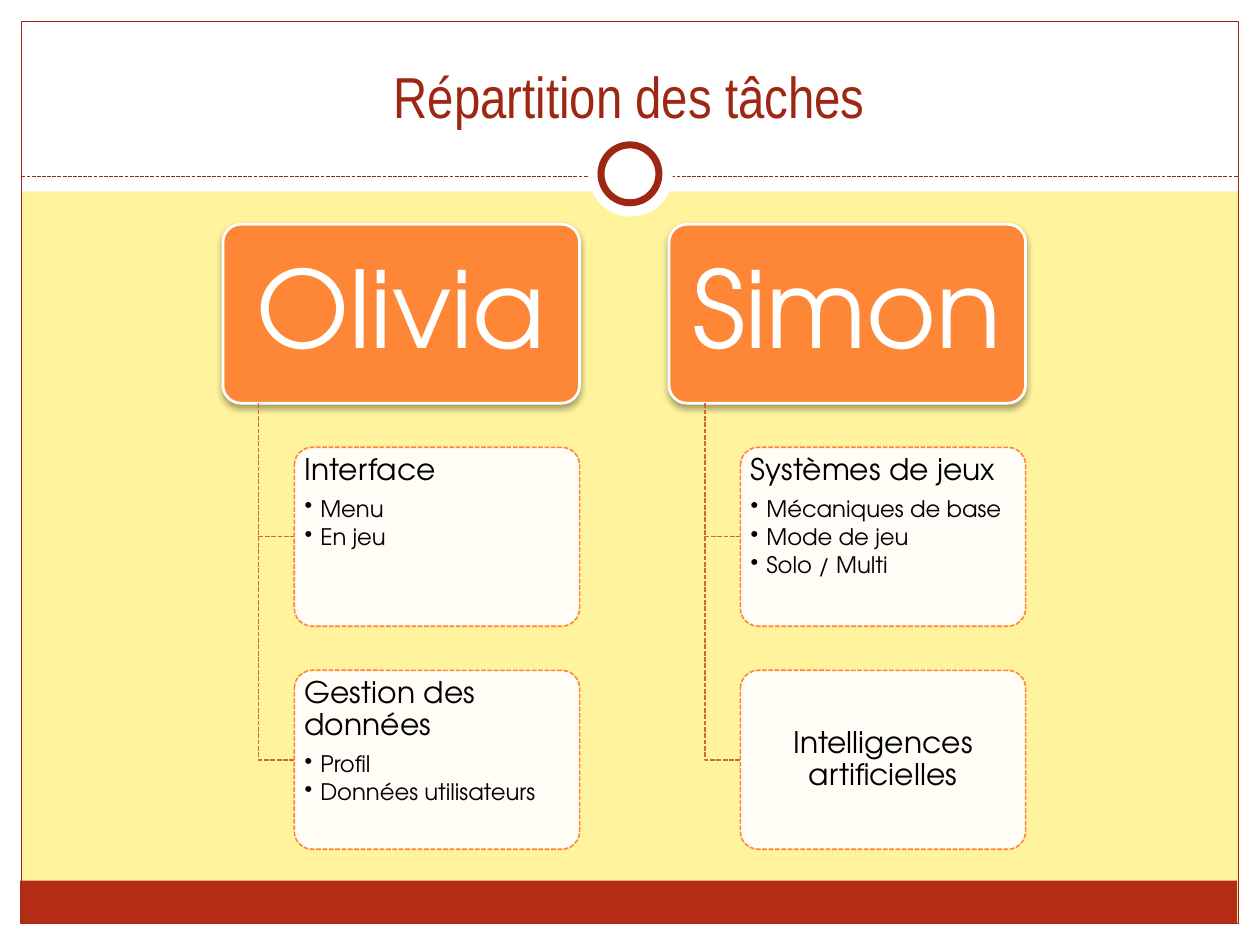
from lxml.etree import SubElement as Sub
from pptx import Presentation as Pres
from pptx.dml.color import RGBColor as Rgb
from pptx.enum.dml import MSO_LINE as Dash
from pptx.enum.shapes import MSO_CONNECTOR as Conn, MSO_SHAPE as Kind
from pptx.enum.text import MSO_ANCHOR as Anchor, PP_ALIGN as Align
from pptx.oxml.ns import qn
from pptx.util import Inches, Pt


def tint(code):
    return Rgb.from_string(code)


def put(item, **vals):
    for name, val in vals.items():
        setattr(item, name, val)


class Deck:
    cell = Inches(0.1)
    white, black, red, rust = "FFFFFF", "000000", "9E2713", "B32C16"
    orange, brown, cream = "FE8637", "CB6B2C", "FFF39D"
    head, body = "Arial Narrow", "TeX Gyre Adventor"

    def __init__(self):
        self.pres = Pres()
        put(self.pres, slide_width=self.grid(100), slide_height=self.grid(75))
        self.slide = self.pres.slides.add_slide(self.pres.slide_layouts[6])
        back = self.slide.background.fill
        back.solid()
        back.fore_color.rgb = tint(self.cream)

    def grid(self, num):
        return round(num * self.cell)

    def area(self, *nums):
        return [self.grid(num) for num in nums]

    def stroke(self, line, color, width, dash=None):
        line.color.rgb = tint(color)
        put(line, width=Pt(width), dash_style=dash)

    def shape(self, kind, spot, fill=None, line=None, alpha=None):
        item = self.slide.shapes.add_shape(kind, *self.area(*spot))
        item.shadow.inherit = False
        if fill:
            item.fill.solid()
            item.fill.fore_color.rgb = tint(fill)
        else:
            item.fill.background()
        if alpha:
            node = item._element.spPr.find(".//" + qn("a:srgbClr"))
            Sub(node, qn("a:alpha"), val=str(alpha * 1000))
        if line:
            self.stroke(item.line, *line)
        else:
            item.line.fill.background()
        return item

    def card(self, spot, **look):
        item = self.shape(Kind.ROUNDED_RECTANGLE, spot, **look)
        item.adjustments[0] = 0.1
        return item

    def shade(self, item):
        effect = item._element.spPr.find(qn("a:effectLst"))
        cast = Sub(effect, qn("a:outerShdw"), blurRad=str(Pt(4)),
                   dist=str(Pt(2)), dir="5400000", rotWithShape="0")
        color = Sub(cast, qn("a:srgbClr"), val=self.black)
        Sub(color, qn("a:alpha"), val="35000")

    def rule(self, left, right, row):
        line = self.slide.shapes.add_connector(
            Conn.STRAIGHT, *self.area(left, row, right, row))
        self.stroke(line.line, self.red, 0.75, Dash.SQUARE_DOT)
        Sub(line._element.spPr, qn("a:effectLst"))

    def elbow(self, left, top, right, low):
        pen = self.slide.shapes.build_freeform(*self.area(left, top))
        pen.add_line_segments(
            [self.area(left, low), self.area(right, low)], close=False)
        item = pen.convert_to_shape()
        item.shadow.inherit = False
        item.fill.background()
        self.stroke(item.line, self.brown, 0.9, Dash.SQUARE_DOT)

    def frame(self, item, anchor, side, edge):
        text = item.text_frame
        side, edge = self.area(side, edge)
        put(text, word_wrap=True, vertical_anchor=anchor, margin_left=side,
            margin_right=side, margin_top=edge, margin_bottom=edge)
        return text

    def label(self, para, words, size, font, color, **form):
        put(para, **form)
        run = para.add_run()
        put(run, text=words)
        put(run.font, size=Pt(size), name=font)
        run.font.color.rgb = tint(color)

    def title(self, words, spot):
        item = self.slide.shapes.add_textbox(*self.area(*spot))
        text = self.frame(item, Anchor.BOTTOM, 1, 0.5)
        self.label(text.paragraphs[0], words, 33, self.head, self.red,
                   alignment=Align.CENTER)

    def name(self, words, spot):
        item = self.card(spot, fill=self.orange, line=(self.white, 1.57))
        self.shade(item)
        text = self.frame(item, Anchor.MIDDLE, 1.3, 0.8)
        self.label(text.paragraphs[0], words, 61, self.body, self.white,
                   alignment=Align.CENTER, line_spacing=0.9,
                   space_after=Pt(21))

    def task(self, words, points, spot):
        item = self.card(spot, fill=self.white, alpha=90,
                         line=(self.orange, 0.9, Dash.SQUARE_DOT))
        anchor = Anchor.TOP if points else Anchor.MIDDLE
        align = Align.LEFT if points else Align.CENTER
        text = self.frame(item, anchor, 0.4, 0.2)
        self.label(text.paragraphs[0], words, 17, self.body, self.black,
                   alignment=align, line_spacing=0.9, space_after=Pt(6))
        for point in points:
            para = text.add_paragraph()
            self.label(para, point, 13, self.body, self.black, level=1,
                       alignment=align, line_spacing=0.9, space_after=Pt(2))
            prop = para._p.get_or_add_pPr()
            prop.set("marL", str(self.grid(1.25)))
            prop.set("indent", str(self.grid(-1.25)))
            Sub(prop, qn("a:buChar"), char="•")

    def tree(self, left, name, tasks):
        top, wide, high, step = 17.8, 28.3, 14.2, 17.7
        stem, inset = left + wide * 0.1, left + wide * 0.2
        self.name(name, (left, top, wide, high))
        for row, (words, points) in enumerate(tasks, 1):
            y = top + row * step
            self.elbow(stem, top + high, inset, y + high / 2)
            self.task(words, points, (inset, y, wide * 0.8, high))


def main():
    deck = Deck()
    edge, wide = 1.7, 96.6
    for spot in ((0, 73.3, 100, 1.7), (0, 0, 100, 15.2),
                 (0, 0, edge, 75), (100 - edge, 0, edge, 75)):
        deck.shape(Kind.RECTANGLE, spot, deck.white)
    deck.shape(Kind.RECTANGLE, (1.6, 69.9, wide, 3.4), deck.rust)
    deck.shape(Kind.RECTANGLE, (edge, edge, wide, 71.6),
               line=(deck.red, 0.75))
    deck.rule(edge, 100 - edge, 14)
    deck.shape(Kind.OVAL, (46.7, 10.5, 6.7, 6.7), deck.white)
    deck.shape(Kind.OVAL, (47.7, 11.5, 4.6, 4.6), deck.white, (deck.red, 4))
    deck.title("Répartition des tâches", (3.3, 2.5, 93.3, 8.3))

    trees = (
        ("Olivia", (
            ("Interface", ("Menu", "En jeu")),
            ("Gestion des données", ("Profil", "Données utilisateurs")))),
        ("Simon", (
            ("Systèmes de jeux",
             ("Mécaniques de base", "Mode de jeu", "Solo / Multi")),
            ("Intelligences artificielles", ()))),
    )
    for col, (name, tasks) in enumerate(trees):
        deck.tree(17.7 + col * 35.4, name, tasks)
    deck.pres.save("out.pptx")


if __name__ == "__main__":
    main()
